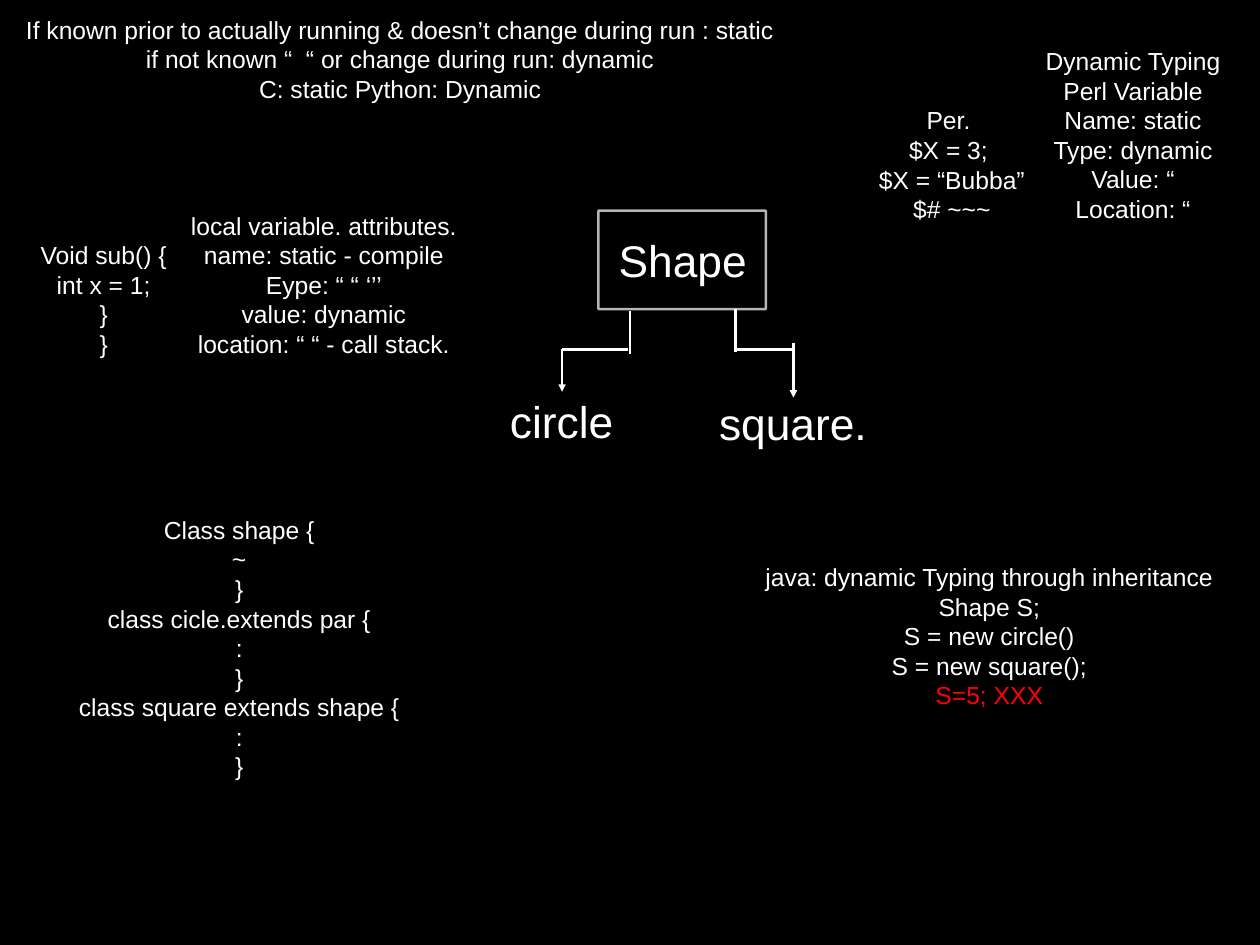
from dataclasses import dataclass
from lxml.etree import SubElement as Sub
from pptx import Presentation
from pptx.dml.color import RGBColor as RGB
from pptx.enum.shapes import MSO_CONNECTOR as Conn, MSO_SHAPE as Shape
from pptx.enum.text import MSO_ANCHOR as Anchor, MSO_AUTO_SIZE as Fit, PP_ALIGN as Align
from pptx.oxml.ns import qn
from pptx.util import Inches, Pt


@dataclass(frozen=True)
class Theme:
    back: RGB = RGB(0, 0, 0)
    ink: RGB = RGB(255, 255, 255)
    error: RGB = RGB(255, 0, 10)
    font: str = "Arial"
    note: int = 20
    label: int = 36
    line: int = 2
    frame_alpha: int = 71


theme = Theme()
COLS, ROWS = 128, 96
CELL = Inches(1) / 9
PAD = 0.5


def grid(*cells):
    """Turn counts of grid cells into slide lengths."""
    return [round(n * CELL) for n in cells]


deck = Presentation()
deck.slide_width, deck.slide_height = grid(COLS, ROWS)
slide = deck.slides.add_slide(deck.slide_layouts[6])
slide.background.fill.solid()
slide.background.fill.fore_color.rgb = theme.back

# left, top, width, type size, text
notes = [
    (1.2, 1, 78.9, theme.note,
     "If known prior to actually running & doesn’t change during run : static\n"
     "if not known “  “ or change during run: dynamic\n"
     "C: static Python: Dynamic"),
    (3.15, 23.9, 14.75, theme.note, "Void sub() {\nint x = 1;\n}\n}"),
    (18.3, 20.9, 29.2, theme.note,
     "local variable. attributes.\nname: static - compile\nEype: “ “ ‘’’\n"
     "value: dynamic\nlocation: “ “ - call stack."),
    (88.1, 10.2, 17.2, theme.note, "Per. \n$X = 3; \n$X = “Bubba”\n$# ~~~"),
    (105.2, 4.2, 19.8, theme.note,
     "Dynamic Typing\nPerl Variable\nName: static\nType: dynamic\n"
     "Value: “\nLocation: “"),
    (6.9, 51.8, 34.8, theme.note,
     "Class shape {\n~\n}\nclass cicle.extends par {\n:\n}\n"
     "class square extends shape {\n:\n}"),
    (62.3, 23.2, 14.1, theme.label, "Shape"),
    (51, 39.5, 12.1, theme.label, "circle"),
    (72.4, 39.8, 16.3, theme.label, "square."),
    (76.6, 56.6, 47.8, theme.note,
     "java: dynamic Typing through inheritance\nShape S;\n"
     "S = new circle()\nS = new square();\nS=5; XXX"),
]
for left, top, width, size, text in notes:
    lines = text.count("\n") + 1
    height = lines * size * 0.15 + 2 * PAD
    frame = slide.shapes.add_textbox(*grid(left, top, width, height)).text_frame
    frame.margin_left, frame.margin_top, frame.margin_right, frame.margin_bottom = grid(*[PAD] * 4)
    frame.vertical_anchor = Anchor.MIDDLE
    frame.word_wrap = False
    frame.auto_size = Fit.SHAPE_TO_FIT_TEXT
    frame.text = text
    for para in frame.paragraphs:
        para.alignment = Align.CENTER
        for run in para.runs:
            font = run.font
            font.name, font.size = theme.font, Pt(size)
            font.color.rgb = theme.error if run.text == "S=5; XXX" else theme.ink

box = slide.shapes.add_shape(Shape.RECTANGLE, *grid(60.8, 21.4, 17, 10))
box.shadow.inherit = False
box.fill.background()
box.line.width = Pt(theme.line)
box.line.color.rgb = theme.ink
tint = box.line.fill._xPr.find(".//" + qn("a:srgbClr"))
Sub(tint, qn("a:alpha"), val=str(theme.frame_alpha * 1000))

# start column, start row, end column, end row, arrow
BEND = 35.5
links = [
    (57.1, BEND, 57.1, 39.8, True),
    (80.6, 34.8, 80.6, 40.4, True),
    (64, 36, 64, 31.6, False),
    (74.7, 35.8, 74.7, 31.4, False),
    (80.6, BEND, 74.7, BEND, False),
    (57.1, BEND, 63.8, BEND, False),
]
for *ends, arrow in links:
    link = slide.shapes.add_connector(Conn.STRAIGHT, *grid(*ends))
    link.line.width = Pt(theme.line)
    link.line.color.rgb = theme.ink
    props = link._element.spPr
    if arrow:
        Sub(props.find(qn("a:ln")), qn("a:tailEnd"), type="triangle")
    Sub(props, qn("a:effectLst"))

deck.save("out.pptx")
